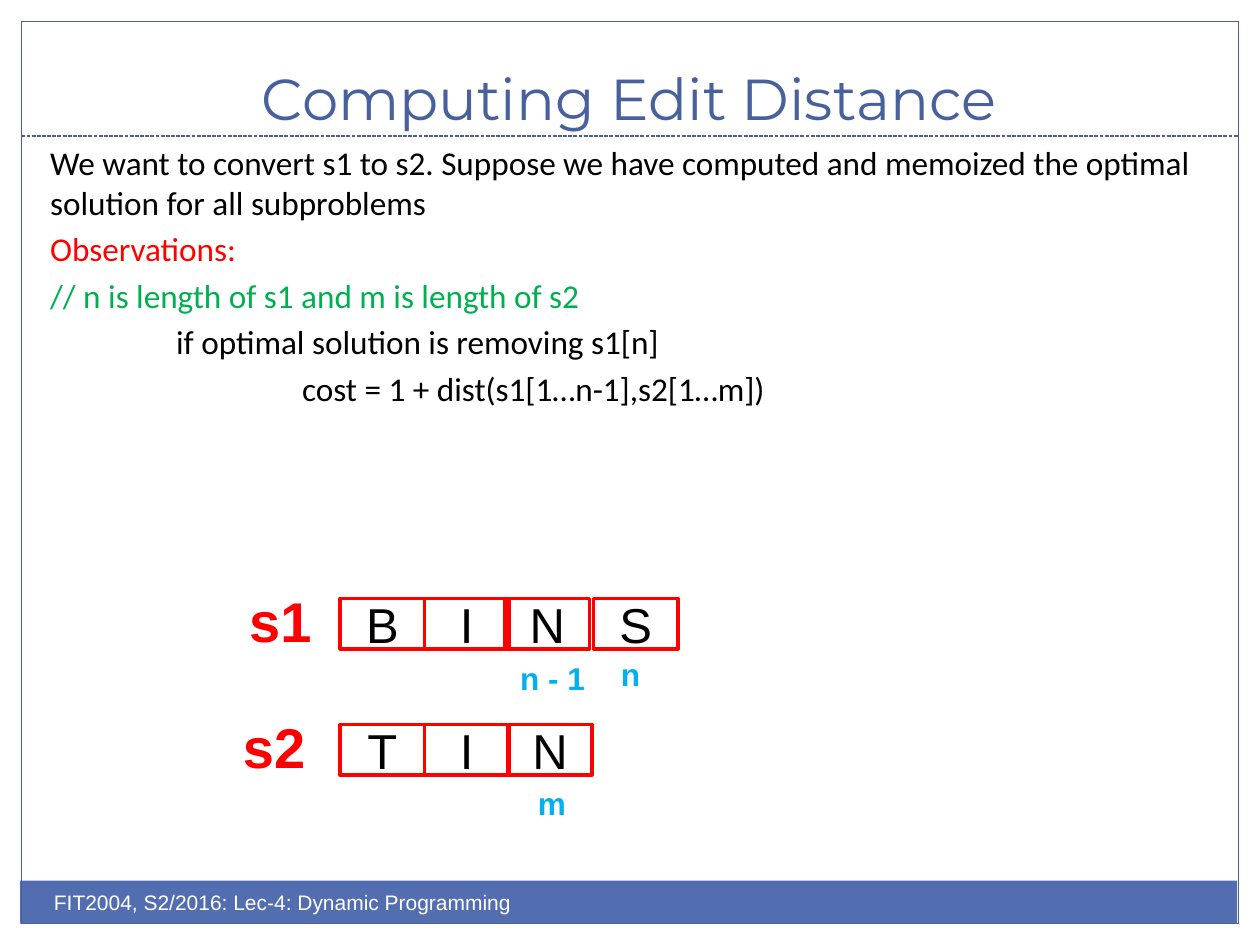
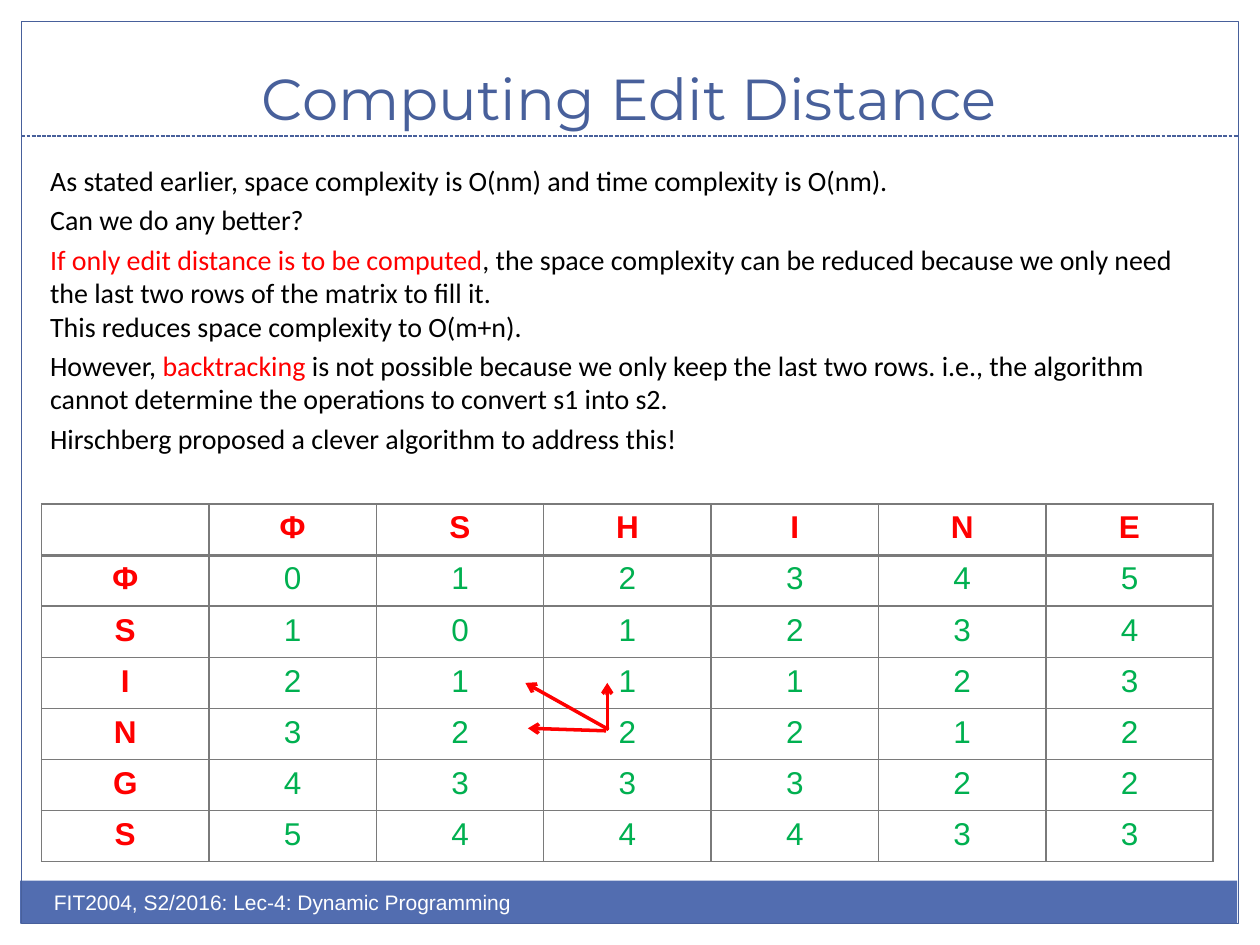
"""Build two slides on computing edit distance."""
from lxml import etree
from pptx import Presentation
from pptx.dml.color import RGBColor
from pptx.enum.dml import MSO_LINE
from pptx.enum.shapes import MSO_CONNECTOR, MSO_SHAPE
from pptx.enum.text import MSO_ANCHOR, PP_ALIGN
from pptx.oxml.ns import qn
from pptx.util import Inches, Pt

COLORS = {
    "white": "FFFFFF",
    "black": "000000",
    "band": "526DB0",
    "frame": "48609B",
    "red": "FF0000",
    "green": "00B050",
    "cyan": "00B0F0",
    "grid": "7A7A7A",
}
TITLE = "Computing Edit Distance"
FOOTER = "FIT2004, S2/2016: Lec-4: Dynamic Programming"


def rgb(color):
    return RGBColor.from_string(COLORS[color])


class Deck:
    def __init__(self):
        self.presentation = Presentation()
        self.presentation.slide_width = Inches(10)
        self.presentation.slide_height = Inches(7.5)
        self.slide = None

    def new_slide(self):
        layout = self.presentation.slide_layouts[6]
        self.slide = self.presentation.slides.add_slide(layout)
        self.box(0.16, 6.99, 9.66, 0.34, fill="band")
        self.box(0.17, 0.17, 9.66, 7.16, line="frame", weight=0.75)
        rule = self.line((0.17, 1.08), (9.83, 1.08), "frame", 0.75)
        rule.line.dash_style = MSO_LINE.SQUARE_DOT
        title = self.text(0.33, 0.25, 9.33, 0.83, TITLE, 33, "frame", font="Montserrat")
        title.vertical_anchor = MSO_ANCHOR.BOTTOM
        title.margin_bottom = Inches(0.03)
        title.paragraphs[0].alignment = PP_ALIGN.CENTER
        self.text(0.33, 7.01, 5, 0.4, FOOTER, 12, "white")

    def add_run(self, paragraph, text, size, color, font="Arial", bold=False):
        for index, part in enumerate(text.split("\n")):
            if index:
                paragraph.add_line_break()
            run = paragraph.add_run()
            run.text = part
            run.font.name = font
            run.font.size = Pt(size)
            run.font.bold = bold
            run.font.color.rgb = rgb(color)

    def box(self, left, top, width, height, fill=None, line=None, weight=2):
        shape = self.slide.shapes.add_shape(
            MSO_SHAPE.RECTANGLE, *map(Inches, (left, top, width, height)))
        shape.shadow.inherit = False
        if fill:
            shape.fill.solid()
            shape.fill.fore_color.rgb = rgb(fill)
        else:
            shape.fill.background()
        if line:
            shape.line.color.rgb = rgb(line)
            shape.line.width = Pt(weight)
        else:
            shape.line.fill.background()
        return shape

    def line(self, start, end, color, weight):
        connector = self.slide.shapes.add_connector(
            MSO_CONNECTOR.STRAIGHT, *map(Inches, start + end))
        connector.line.color.rgb = rgb(color)
        connector.line.width = Pt(weight)
        etree.SubElement(connector._element.spPr, qn("a:effectLst"))
        return connector

    def arrow(self, start, end):
        outline = self.line(start, end, "red", 2)._element.spPr.find(qn("a:ln"))
        etree.SubElement(outline, qn("a:tailEnd"), type="arrow")

    def text(self, left, top, width, height, text, size, color, wrap=True, **style):
        shape = self.slide.shapes.add_textbox(*map(Inches, (left, top, width, height)))
        frame = shape.text_frame
        frame.word_wrap = wrap
        self.add_run(frame.paragraphs[0], text, size, color, **style)
        return frame

    def label(self, left, top, width, height, text, size, color):
        self.text(left, top, width, height, text, size, color, wrap=False, bold=True)

    def body(self, top, height, size, paragraphs):
        shape = self.slide.shapes.add_textbox(*map(Inches, (0.3, top, 9.34, height)))
        frame = shape.text_frame
        frame.word_wrap = True
        for index, (indent, runs) in enumerate(paragraphs):
            paragraph = frame.add_paragraph() if index else frame.paragraphs[0]
            if indent:
                paragraph._p.get_or_add_pPr().set("marL", str(Inches(indent)))
            if index:
                paragraph.space_before = Pt(0.2 * size)
            for text, color in runs:
                self.add_run(paragraph, text, size, color, font="Calibri")

    def letters(self, word, lefts, top):
        for letter, left in zip(word, lefts):
            frame = self.box(left, top, 0.67, 0.4, line="red").text_frame
            frame.vertical_anchor = MSO_ANCHOR.MIDDLE
            frame.paragraphs[0].alignment = PP_ALIGN.CENTER
            self.add_run(frame.paragraphs[0], letter, 28, "black")

    def border(self, cell, side, weight):
        outline = etree.SubElement(
            cell._tc.get_or_add_tcPr(), qn(f"a:ln{side}"), w=str(Pt(weight)))
        fill = etree.SubElement(outline, qn("a:solidFill"))
        etree.SubElement(fill, qn("a:srgbClr"), val=COLORS["grid"])

    def matrix(self, left, top, width, height, rows):
        table = self.slide.shapes.add_table(
            len(rows), len(rows[0]), *map(Inches, (left, top, width, height))).table
        table.first_row = table.horz_banding = False
        for row, values in enumerate(rows):
            for column, value in enumerate(values):
                cell = table.cell(row, column)
                for side in "LRTB":
                    thick = (row, side) in ((0, "B"), (1, "T"))
                    self.border(cell, side, 2 if thick else 1)
                cell.fill.solid()
                cell.fill.fore_color.rgb = rgb("white")
                paragraph = cell.text_frame.paragraphs[0]
                paragraph.alignment = PP_ALIGN.CENTER
                heading = row == 0 or column == 0
                if value.strip():
                    self.add_run(paragraph, value, 18,
                                 "red" if heading else "green", bold=heading)


def subproblem_slide(deck):
    deck.new_slide()
    deck.body(1.08, 3.53, 19, [
        (0, [("We want to convert s1 to s2. Suppose we have computed and memoized "
              "the optimal solution for all subproblems", "black")]),
        (0, [("Observations:", "red")]),
        (0, [("// n is length of s1 and m is length of s2", "green")]),
        (1, [("if optimal solution is removing s1[n]", "black")]),
        (2, [("cost = 1 + dist(s1[1…n-1],s2[1…m])", "black")]),
    ])
    deck.letters("BINS", (2.7, 3.37, 4.01, 4.71), 4.75)
    deck.letters("TIN", (2.7, 3.37, 4.03), 5.75)
    deck.label(1.88, 4.61, 0.7, 0.64, "s1", 32, "red")
    deck.label(1.83, 5.61, 0.7, 0.64, "s2", 32, "red")
    deck.label(4.03, 5.18, 0.72, 0.4, "n - 1", 18, "cyan")
    deck.label(4.83, 5.15, 0.36, 0.4, "n", 18, "cyan")
    deck.label(4.17, 6.17, 0.43, 0.4, "m", 18, "cyan")


def space_slide(deck):
    deck.new_slide()
    deck.matrix(0.33, 4, 9.3, 2.84, [
        " ΦSHINE", "Φ012345", "S101234", "I211123", "N322212", "G433322", "S544433"])
    deck.body(1.25, 2.75, 16, [
        (0, [("As stated earlier, space complexity is O(nm) and time complexity "
              "is O(nm).", "black")]),
        (0, [("Can we do any better?", "black")]),
        (0, [("If only edit distance is to be computed", "red"),
             (", the space complexity can be reduced because we only need the last "
              "two rows of the matrix to fill it.\n"
              "This reduces space complexity to O(m+n).", "black")]),
        (0, [("However, ", "black"), ("backtracking", "red"),
             (" is not possible because we only keep the last two rows. i.e., the "
              "algorithm cannot determine the operations to convert s1 into s2.",
              "black")]),
        (0, [("Hirschberg proposed a clever algorithm to address this!", "black")]),
    ])
    deck.arrow((4.81, 5.8), (4.19, 5.78))
    deck.arrow((4.82, 5.79), (4.82, 5.42))
    deck.arrow((4.83, 5.79), (4.17, 5.42))


def main():
    deck = Deck()
    subproblem_slide(deck)
    space_slide(deck)
    deck.presentation.save("out.pptx")


if __name__ == "__main__":
    main()
